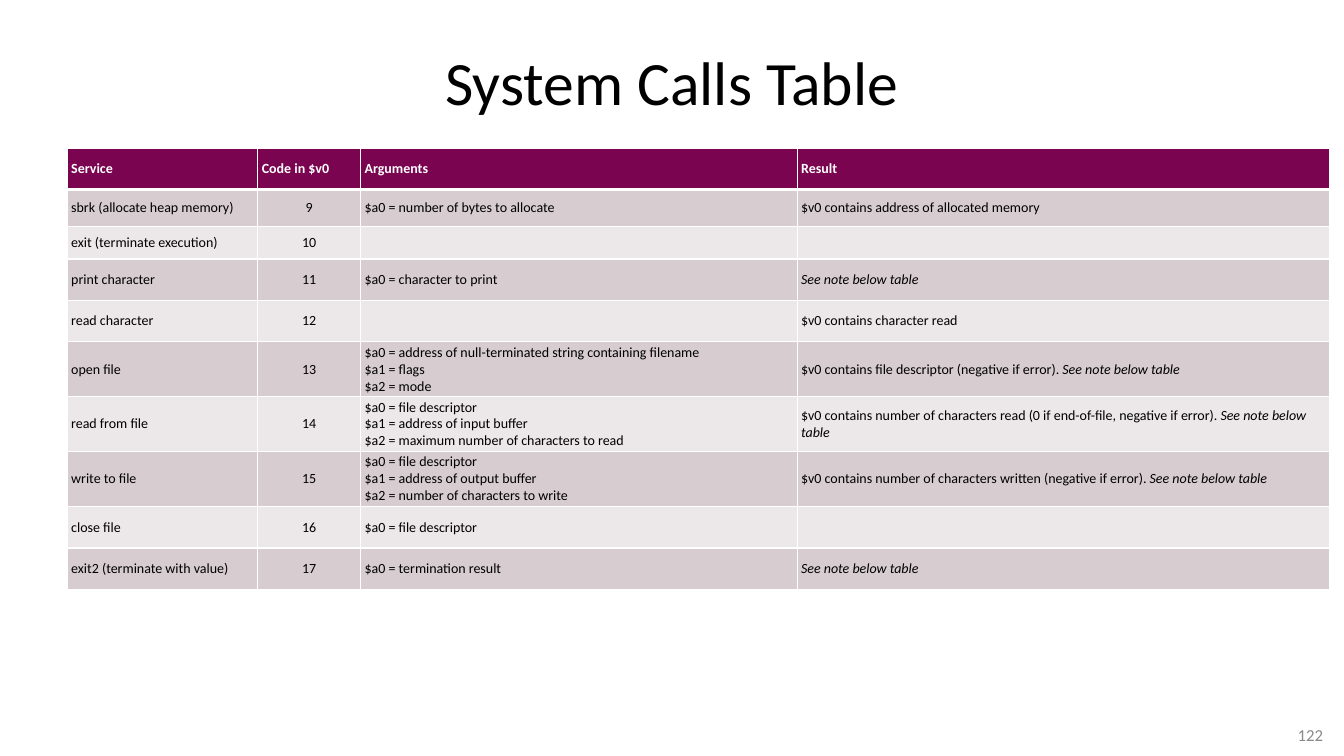
from dataclasses import dataclass

from lxml.etree import SubElement
from pptx import Presentation
from pptx.dml.color import RGBColor
from pptx.enum.text import MSO_ANCHOR as Anchor, PP_ALIGN as Align
from pptx.oxml.ns import qn
from pptx.table import _Cell as Cell
from pptx.text.text import TextFrame
from pptx.util import Inches, Length, Pt

COLORS = {
    "header": "7A0450",
    "odd": "D7CCD0",
    "even": "ECE7E9",
    "border": "FFFFFF",
    "header_text": "FFFFFF",
    "text": "000000",
    "page_number": "898989",
}
FONT = "Calibri"
NOTE = "See note below table"
SLIDE_WIDTH, SLIDE_HEIGHT = Inches(13.33), Inches(7.5)
COLUMN_SHARES = [14.18, 7.65, 32.48, 39.61]
ROW_SHARES = [5.47, 4.93, 4.27] + [5.47] * 7
HEADINGS = ["Service", "Code in $v0", "Arguments", "Result"]
FIRST_CODE = 9


@dataclass
class SystemCall:
    service: str
    arguments: str = ""
    result: str = ""
    has_note: bool = False


SYSTEM_CALLS = [
    SystemCall("sbrk (allocate heap memory)", "$a0 = number of bytes to allocate",
               "$v0 contains address of allocated memory"),
    SystemCall("exit (terminate execution)"),
    SystemCall("print character", "$a0 = character to print", has_note=True),
    SystemCall("read character", result="$v0 contains character read"),
    SystemCall("open file",
               "$a0 = address of null-terminated string containing filename\n$a1 = flags\n$a2 = mode",
               "$v0 contains file descriptor (negative if error). ", True),
    SystemCall("read from file",
               "$a0 = file descriptor\n$a1 = address of input buffer\n"
               "$a2 = maximum number of characters to read",
               "$v0 contains number of characters read (0 if end-of-file, negative if error). ", True),
    SystemCall("write to file",
               "$a0 = file descriptor\n$a1 = address of output buffer\n"
               "$a2 = number of characters to write",
               "$v0 contains number of characters written (negative if error). ", True),
    SystemCall("close file", "$a0 = file descriptor"),
    SystemCall("exit2 (terminate with value)", "$a0 = termination result", has_note=True),
]


def across(percent: float) -> Length:
    return Length(round(SLIDE_WIDTH * percent / 100))


def down(percent: float) -> Length:
    return Length(round(SLIDE_HEIGHT * percent / 100))


def write(frame: TextFrame, text: str, size: float, color: str,
          align: Align = Align.LEFT, bold: bool = False, note: str = "") -> None:
    paragraph = frame.paragraphs[0]
    paragraph.text = text
    if note:
        note_run = paragraph.add_run()
        note_run.text = note
        note_run.font.italic = True
    paragraph.alignment = align
    paragraph.font.name = FONT
    paragraph.font.size = Pt(size)
    paragraph.font.bold = bold
    paragraph.font.color.rgb = RGBColor.from_string(COLORS[color])


def draw_borders(cell: Cell, top: float, bottom: float) -> None:
    properties = cell._tc.get_or_add_tcPr()
    for side, width in {"lnL": 1, "lnR": 1, "lnT": top, "lnB": bottom}.items():
        line = SubElement(properties, qn(f"a:{side}"), w=str(Pt(width)))
        fill = SubElement(line, qn("a:solidFill"))
        SubElement(fill, qn("a:srgbClr"), val=COLORS["border"])


def style_cell(cell: Cell, row: int) -> None:
    draw_borders(cell, top=3 if row == 1 else 1, bottom=3 if row == 0 else 1)
    cell.fill.solid()
    band = "header" if row == 0 else "odd" if row % 2 else "even"
    cell.fill.fore_color.rgb = RGBColor.from_string(COLORS[band])
    cell.vertical_anchor = Anchor.MIDDLE
    cell.margin_left = cell.margin_right = Inches(0.04)
    cell.margin_top = cell.margin_bottom = Inches(0.02)


def main() -> None:
    deck = Presentation()
    deck.slide_width, deck.slide_height = SLIDE_WIDTH, SLIDE_HEIGHT
    slide = deck.slides.add_slide(deck.slide_layouts[5])

    title = slide.shapes.title
    title.left, title.top = across(5), down(4)
    title.width, title.height = across(90), down(13.47)
    title.text_frame.vertical_anchor = Anchor.MIDDLE
    write(title.text_frame, "System Calls Table", 44, "text", Align.CENTER)

    calls_table = slide.shapes.add_table(
        len(ROW_SHARES), len(COLUMN_SHARES), across(5), down(19.6),
        across(sum(COLUMN_SHARES)), down(sum(ROW_SHARES))).table
    for column, share in zip(calls_table.columns, COLUMN_SHARES):
        column.width = across(share)
    for row, share in zip(calls_table.rows, ROW_SHARES):
        row.height = down(share)

    for column, heading in enumerate(HEADINGS):
        cell = calls_table.cell(0, column)
        style_cell(cell, 0)
        write(cell.text_frame, heading, 10, "header_text", bold=True)
    for row, call in enumerate(SYSTEM_CALLS, start=1):
        code = str(FIRST_CODE + row - 1)
        for column, text in enumerate([call.service, code, call.arguments, call.result]):
            cell = calls_table.cell(row, column)
            style_cell(cell, row)
            align = Align.CENTER if column == 1 else Align.LEFT
            note = NOTE if column == 3 and call.has_note else ""
            write(cell.text_frame, text, 10, "text", align, note=note)

    page_number = slide.shapes.add_textbox(across(88.45), down(95.2), across(10.73), down(3.87))
    page_number.text_frame.word_wrap = True
    page_number.text_frame.vertical_anchor = Anchor.MIDDLE
    write(page_number.text_frame, "122", 12, "page_number", Align.RIGHT)

    deck.save("out.pptx")


if __name__ == "__main__":
    main()
